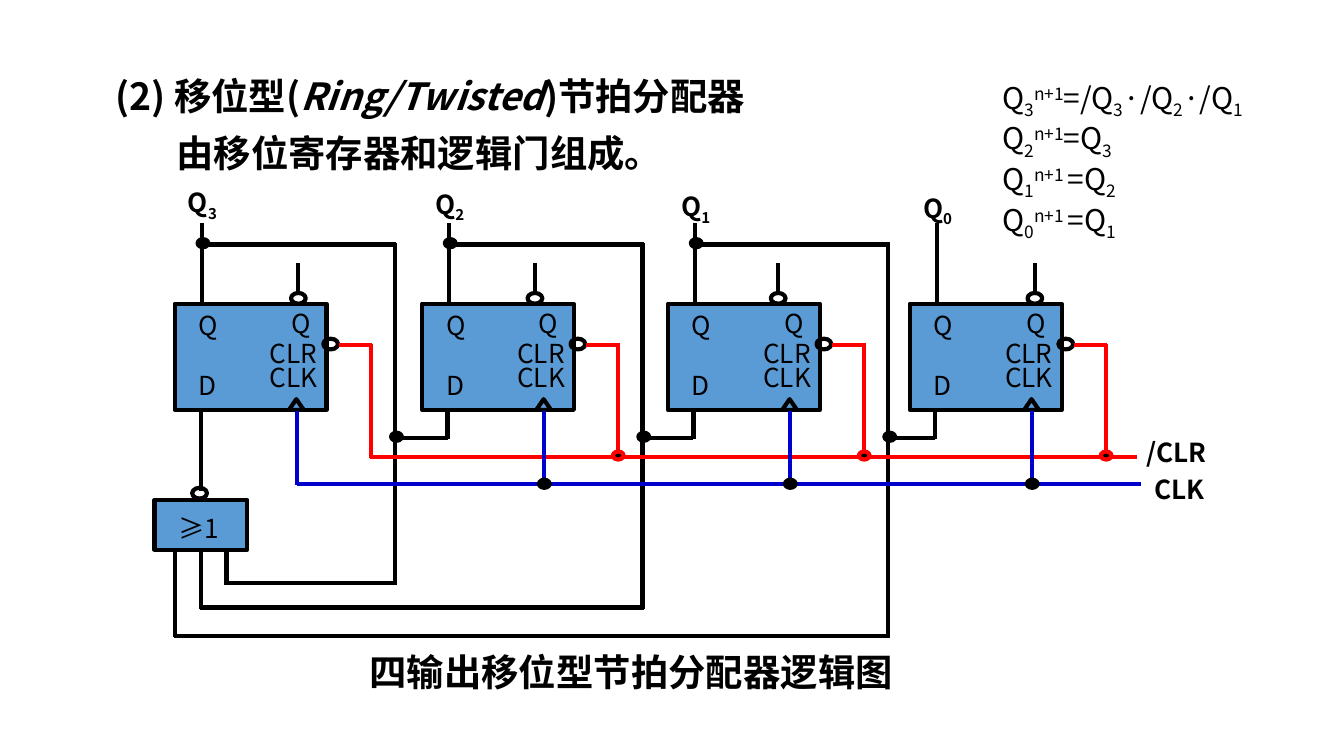
from dataclasses import dataclass

from lxml.etree import SubElement
from pptx import Presentation
from pptx.dml.color import RGBColor
from pptx.enum.shapes import MSO_CONNECTOR, MSO_SHAPE
from pptx.oxml.ns import qn
from pptx.util import Inches, Pt


@dataclass(frozen=True)
class Theme:
    black: RGBColor = RGBColor(0, 0, 0)
    red: RGBColor = RGBColor(0xFF, 0, 0)
    blue: RGBColor = RGBColor(0, 0, 0xCC)
    box: RGBColor = RGBColor(0x5B, 0x9B, 0xD5)
    head: str = "Noto Sans CJK JP"
    label: str = "Noto Sans CJK SC"
    head_size: int = 20
    formula_size: int = 16
    label_size: int = 14
    line: float = 2.25


T = Theme()
SUB, SUP = "-25000", "30000"
HEAD = {"name": T.head, "size": Pt(T.head_size), "bold": True}
FORMULA = {"name": T.head, "size": Pt(T.formula_size)}
PIN = {"name": T.label, "size": Pt(T.label_size)}
SIGNAL = {**PIN, "bold": True}


def add_run(p, text, fmt, base=None):
    r = p.add_run()
    r.text = text
    for name, value in fmt.items():
        setattr(r.font, name, value)
    r.font.color.rgb = T.black
    rpr = r.font._element
    SubElement(rpr, qn("a:ea")).set("typeface", fmt["name"])
    if base:
        rpr.set("baseline", base)
    return r


def text(s, x, y, w, h, runs, fmt):
    """Add a one-paragraph box; runs is a string or (text, baseline) pairs."""
    tf = s.shapes.add_textbox(Inches(x), Inches(y), Inches(w), Inches(h)).text_frame
    tf.word_wrap = True
    for part, base in [(runs, None)] if isinstance(runs, str) else runs:
        add_run(tf.paragraphs[0], part, fmt, base)
    return tf


def wire(s, x1, y1, x2, y2, color=T.black):
    c = s.shapes.add_connector(MSO_CONNECTOR.STRAIGHT, Inches(x1), Inches(y1),
                               Inches(x2), Inches(y2))
    c.line.color.rgb = color
    c.line.width = Pt(T.line)
    SubElement(c._element.spPr, qn("a:effectLst"))
    return c


def shape(s, kind, x, y, w, h, fill=None, line=T.black):
    sp = s.shapes.add_shape(kind, Inches(x), Inches(y), Inches(w), Inches(h))
    sp.shadow.inherit = False
    if fill is None:
        sp.fill.background()
    else:
        sp.fill.solid()
        sp.fill.fore_color.rgb = fill
    sp.line.color.rgb = line
    sp.line.width = Pt(T.line)
    return sp


def bubble(s, cx, cy):
    return shape(s, MSO_SHAPE.OVAL, cx - 0.055, cy - 0.04, 0.11, 0.08)


def dot(s, cx, cy, line=T.black):
    return shape(s, MSO_SHAPE.OVAL, cx - 0.04, cy - 0.03, 0.08, 0.06, T.black, line)


def flip_flop(s, x, y, w, h, index, inverted_dx, label_y):
    """One stage: body, pins, output lead and inverted output."""
    wire(s, x + 0.2, y, x + 0.2, y - 0.6)
    shape(s, MSO_SHAPE.RECTANGLE, x, y, w, h, T.box)
    pins = [("Q", 0.08, -0.01, 0.25), ("Q", 0.77, -0.02, 0.25), ("D", 0.08, 0.44, 0.25),
            ("CLR", 0.61, 0.2, 0.84), ("CLK", 0.61, 0.38, 0.84)]
    for name, dx, dy, width in pins:
        text(s, x + dx, y + dy, width, 0.34, name, PIN)
    shape(s, MSO_SHAPE.FLOWCHART_EXTRACT, x + 0.85, y + h - 0.08, 0.11, 0.08)
    wire(s, x + inverted_dx, y - 0.08, x + inverted_dx, y - 0.3)
    bubble(s, x + inverted_dx, y - 0.04)
    bubble(s, x + w + 0.03, y + 0.3)
    text(s, x, label_y, 0.54, 0.34, [("Q", None), (str(index), SUB)], SIGNAL)


def control_lines(s, stages, y, h, clr_y, clk_y):
    """Shared clear and clock lines with a tap at each stage."""
    wire(s, stages[0] + 1.45, clr_y, 8.46, clr_y, T.red)
    wire(s, stages[0] + 0.91, clk_y, 8.49, clk_y, T.blue)
    for i, x in enumerate(stages):
        clr_x, clk_x = x + 1.46, x + 0.91
        wire(s, x + 1.22, y + 0.31, clr_x + 0.01, y + 0.31, T.red)
        wire(s, clr_x, y + 0.3, clr_x, clr_y + 0.01, T.red)
        wire(s, clk_x, y + h + 0.01, clk_x, clk_y + 0.01, T.blue)
        if i:
            dot(s, clr_x, clr_y - 0.01, T.red)
            dot(s, clk_x, clk_y)
    text(s, 8.43, clr_y - 0.2, 0.92, 0.34, "/CLR", SIGNAL)
    text(s, 8.49, clk_y - 0.13, 0.92, 0.34, "CLK", SIGNAL)


def nor_gate(s, x, y, w, h, data_y):
    """Gate that drives the first D input."""
    wire(s, x + w / 2, data_y, x + w / 2, y - 0.07)
    gate = shape(s, MSO_SHAPE.RECTANGLE, x, y, w, h, T.box)
    bubble(s, x + w / 2 - 0.01, y - 0.05)
    text(s, x + 0.08, y + 0.04, w, 0.34, "≥1", PIN)
    return gate


def feedback(s, stages, y, h, gate, gate_x, gate_bottom):
    """Each output feeds the next D input and one gate input."""
    for i, bottom in enumerate((4.34, 4.52, 4.73)):
        x, next_d = stages[i], stages[i + 1] + 0.19
        trunk, tap = x + 1.64, gate_x + 0.19 * (1 - i)
        wire(s, x + 0.2, 1.82, trunk + 0.01, 1.82)
        wire(s, trunk, 1.81, trunk, bottom + 0.01)
        wire(s, tap - 0.01, bottom, trunk + 0.01, bottom)
        lead = wire(s, tap, gate_bottom, tap, bottom + 0.01)
        if i == 1:
            lead.begin_connect(gate, 2)
        wire(s, next_d, y + h, next_d, 3.27)
        wire(s, next_d, 3.26, trunk, 3.26)
        dot(s, x + 0.21, 1.81)
        dot(s, trunk + 0.01, 3.25)


def headings(s):
    tf = text(s, 0.76, 0.53, 7.67, 0.56, "(2) 移位型(", HEAD)
    p = tf.paragraphs[0]
    p.line_spacing = 0.9
    add_run(p, "Ring/Twisted", {**HEAD, "italic": True})
    add_run(p, ")节拍分配器", HEAD)
    text(s, 1.15, 0.92, 6.67, 0.5, " 由移位寄存器和逻辑门组成。", HEAD)
    text(s, 2.65, 4.78, 6.58, 0.44, "四输出移位型节拍分配器逻辑图", HEAD)


def equations(s, x, y, w, h):
    """Next-state equations; right sides list (text, subscript) terms."""
    rows = [("3", "n+1", [("=/Q", "3"), ("·/Q", "2"), ("·/Q", "1")]),
            ("2", "n+1", [("=Q", "3")]),
            ("1", "n+1 ", [("=Q", "2")]),
            ("0", "n+1 ", [("=Q", "1")])]
    tf = text(s, x, y, w, h, [], FORMULA)
    for i, (index, power, terms) in enumerate(rows):
        p = tf.add_paragraph() if i else tf.paragraphs[0]
        add_run(p, "Q", FORMULA)
        add_run(p, index, FORMULA, SUB)
        add_run(p, power, FORMULA, SUP)
        for term, sub in terms:
            add_run(p, term, FORMULA)
            add_run(p, sub, FORMULA, SUB)


def main():
    prs = Presentation()
    prs.slide_width = Inches(10)
    prs.slide_height = prs.slide_width * 9 // 16
    s = prs.slides.add_slide(prs.slide_layouts[6])
    headings(s)

    # Shift register stages
    stages = (1.3, 3.14, 4.97, 6.77)
    y, w, h = 2.26, 1.13, 0.79
    inverted = (0.92, 0.84, 0.82, 0.93)
    label_tops = (1.34, 1.35, 1.37, 1.38)
    for i, (x, dx, top) in enumerate(zip(stages, inverted, label_tops)):
        flip_flop(s, x, y, w, h, 3 - i, dx, top)

    # Gate and wiring
    gate_x, gate_y, gate_w, gate_h = 1.15, 3.72, 0.69, 0.37
    gate = nor_gate(s, gate_x, gate_y, gate_w, gate_h, y + h)
    feedback(s, stages, y, h, gate, gate_x + gate_w / 2, gate_y + gate_h)
    control_lines(s, stages, y, h, 3.4, 3.6)

    equations(s, 7.36, 0.54, 2.51, 1.18)
    prs.save("out.pptx")


if __name__ == "__main__":
    main()
